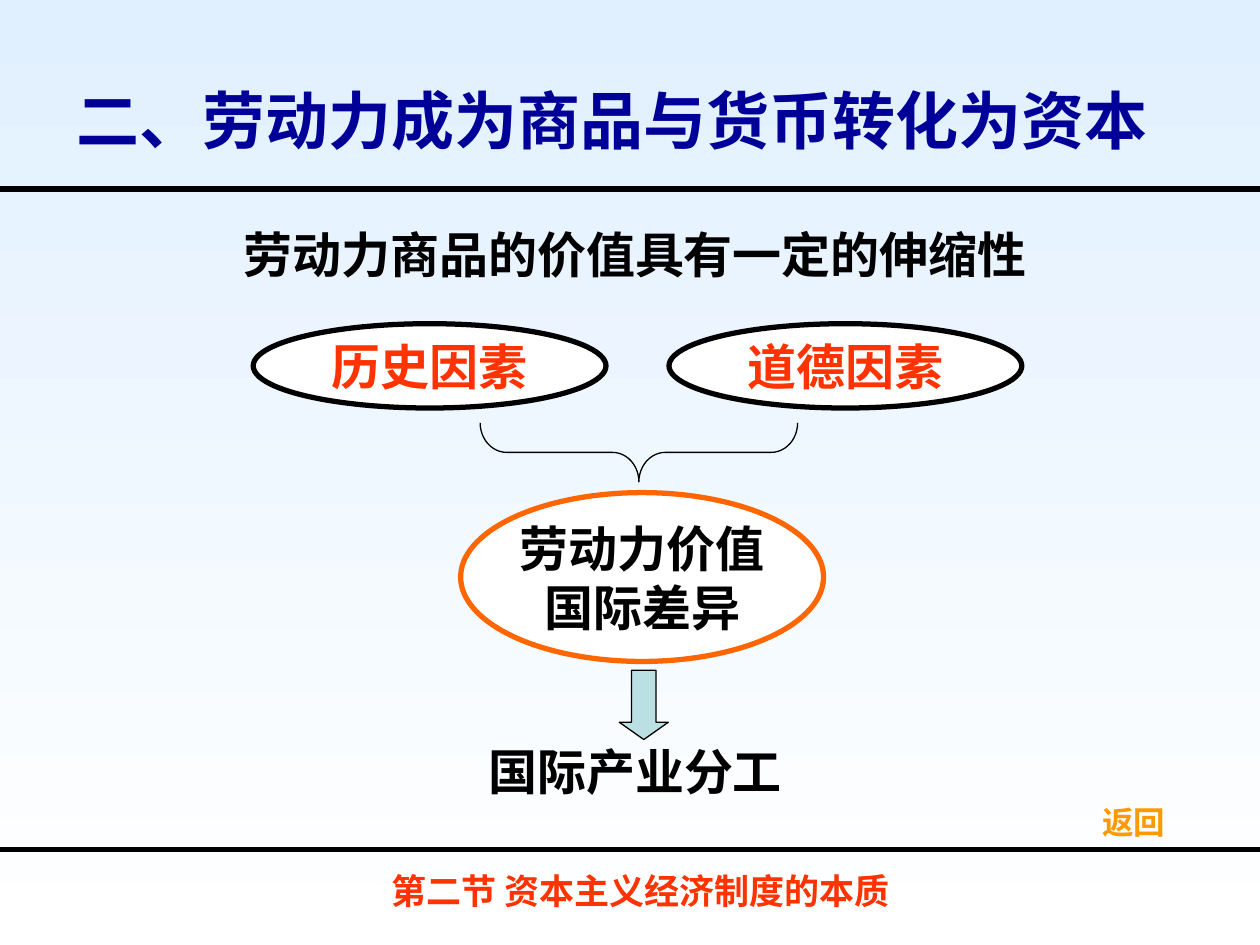
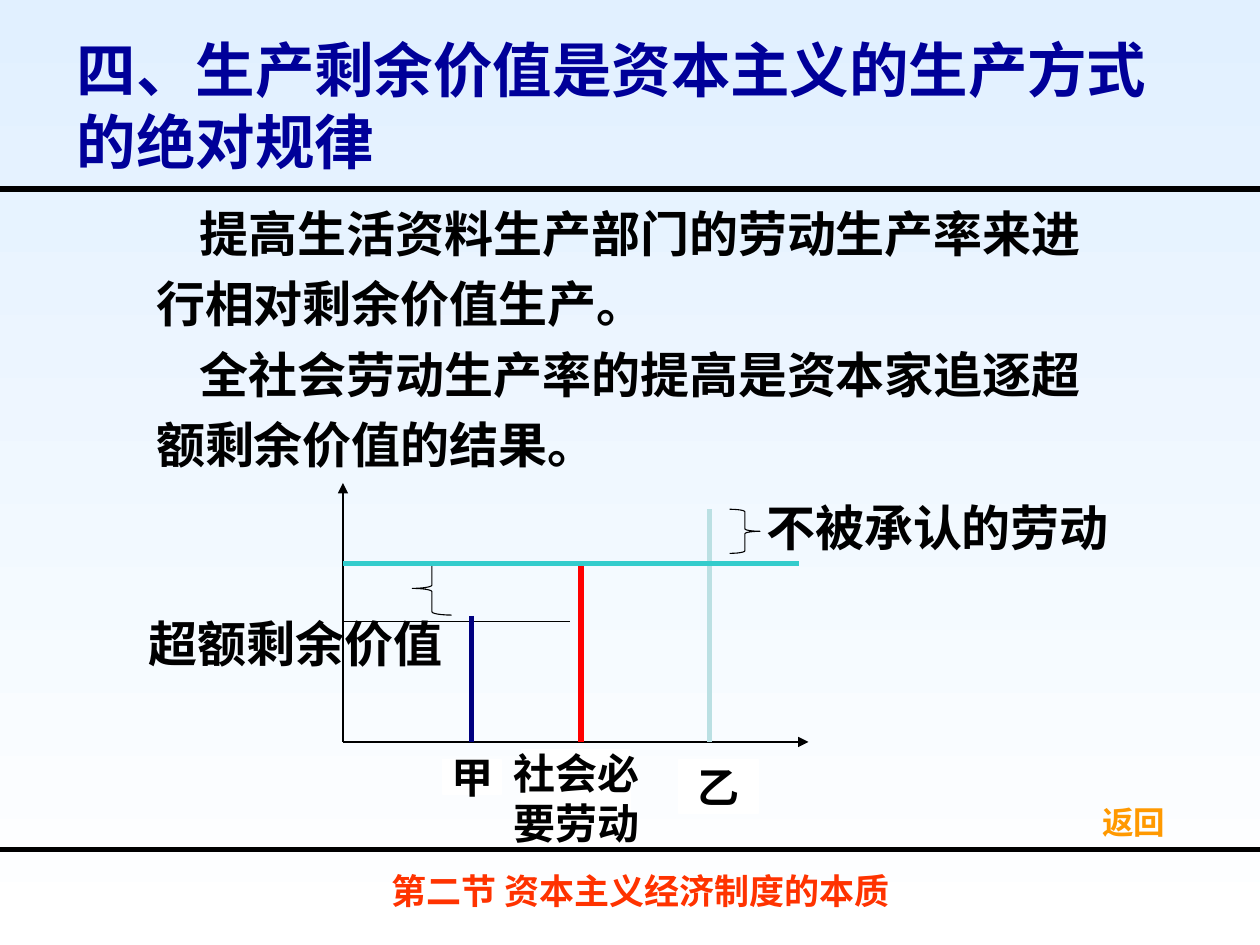
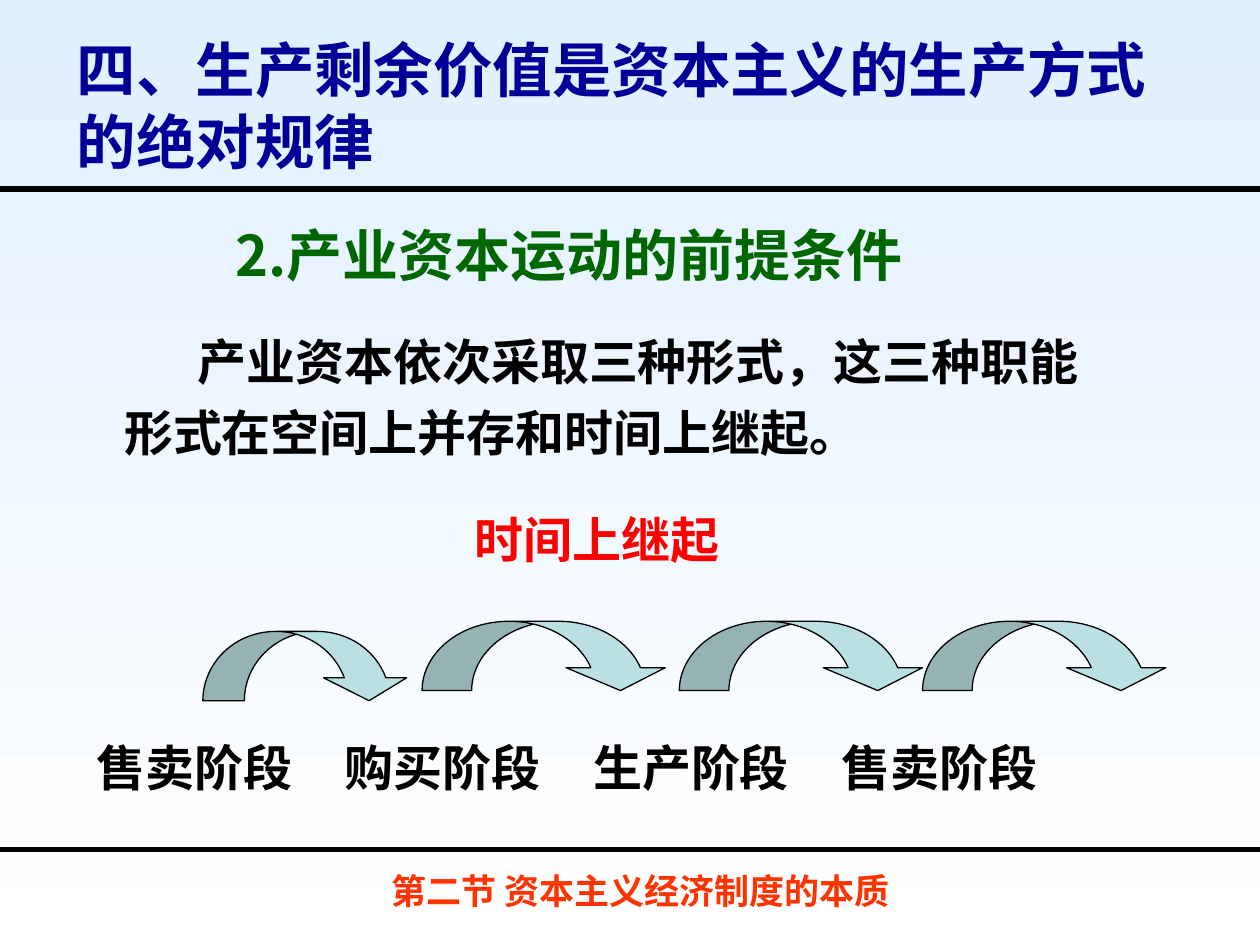
from copy import deepcopy

from lxml.etree import SubElement
from pptx import Presentation
from pptx.dml.color import RGBColor
from pptx.enum.shapes import MSO_CONNECTOR, MSO_SHAPE
from pptx.enum.text import MSO_ANCHOR, MSO_AUTO_SIZE, PP_ALIGN
from pptx.oxml.ns import qn
from pptx.util import Pt

BLACK = RGBColor(0x00, 0x00, 0x00)
WHITE = RGBColor(0xFF, 0xFF, 0xFF)
SKY = RGBColor(0xE1, 0xF0, 0xFF)
TITLE_BLUE = RGBColor(0x00, 0x00, 0x99)
NAVY = RGBColor(0x00, 0x00, 0x80)
VERMILION = RGBColor(0xFF, 0x33, 0x00)
ORANGE = RGBColor(0xFF, 0x66, 0x00)
AMBER = RGBColor(0xFF, 0x99, 0x00)
RED = RGBColor(0xFF, 0x00, 0x00)
GREEN = RGBColor(0x00, 0x66, 0x00)
PALE_TEAL = RGBColor(0xBB, 0xE0, 0xE3)
TEAL = RGBColor(0x33, 0xCC, 0xCC)

HAN_FONT = "Noto Sans CJK SC"
LATIN_FONT = "Arial"
WIDTH, HEIGHT = 720, 540
SURPLUS_TITLE = "四、生产剩余价值是资本主义的生产方式\v的绝对规律"


def write(frame, *lines, size=28, color=BLACK, font=HAN_FONT, align=PP_ALIGN.CENTER,
          anchor=MSO_ANCHOR.MIDDLE, wrap=False, spacing=1.0, left=0, indent=0):
    """Fill a text frame with one bold paragraph per line."""
    frame.word_wrap = wrap
    frame.auto_size = MSO_AUTO_SIZE.NONE
    frame.vertical_anchor = anchor
    for number, line in enumerate(lines):
        paragraph = frame.add_paragraph() if number else frame.paragraphs[0]
        paragraph.text = line
        paragraph.alignment = align
        paragraph.line_spacing = spacing
        paragraph.space_before = Pt(0)
        properties = paragraph._p.get_or_add_pPr()
        properties.set("marL", str(Pt(left)))
        properties.set("indent", str(Pt(indent)))
        SubElement(properties, qn("a:buNone"))
        for run in paragraph.runs:
            run.font.size = Pt(size)
            run.font.bold = True
            run.font.color.rgb = color
            run.font.name = font
            SubElement(run._r.rPr, qn("a:ea"), typeface=HAN_FONT)
        for line_break in paragraph._p.findall(qn("a:br")):
            line_break.append(deepcopy(paragraph.runs[0]._r.rPr))


def place(placeholder, box):
    """Move a placeholder to a box and return its text frame."""
    placeholder.left, placeholder.top, placeholder.width, placeholder.height = map(Pt, box)
    return placeholder.text_frame


def add_label(slide, box, *lines, **style):
    """Add a text box."""
    write(slide.shapes.add_textbox(*map(Pt, box)).text_frame, *lines, **style)


def add_figure(slide, kind, box, fill=None, line=BLACK, weight=0.75, adjust=()):
    """Add a flat preset shape, hollow when no fill is given."""
    figure = slide.shapes.add_shape(kind, *map(Pt, box))
    figure.shadow.inherit = False
    if fill is None:
        figure.fill.background()
    else:
        figure.fill.solid()
        figure.fill.fore_color.rgb = fill
    figure.line.color.rgb = line
    figure.line.width = Pt(weight)
    for index, value in enumerate(adjust):
        figure.adjustments[index] = value
    return figure


def add_rule(slide, start, end, color=BLACK, weight=3, arrow=False):
    """Draw a straight line, with an arrowhead at its end if asked."""
    rule = slide.shapes.add_connector(MSO_CONNECTOR.STRAIGHT, *map(Pt, start + end))
    rule.line.color.rgb = color
    rule.line.width = Pt(weight)
    if arrow:
        SubElement(rule.line._get_or_add_ln(), qn("a:tailEnd"), type="triangle")
    SubElement(rule._element.spPr, qn("a:effectLst"))


def add_framed_slide(deck, title, title_box, title_size, has_return=True):
    """Add a slide with its title, two rules, footer and return label."""
    slide = deck.slides.add_slide(deck.slide_layouts[1])
    write(place(slide.shapes.title, title_box), title, size=title_size,
          color=TITLE_BLUE, align=PP_ALIGN.LEFT, wrap=True)
    for y in (108, 485.3):
        add_rule(slide, (0, y), (WIDTH, y))
    add_label(slide, (156, 492, 420, 34), "第二节 资本主义经济制度的本质",
              size=20, color=VERMILION)
    if has_return:
        add_label(slide, (627, 451.5, 42, 36), "返回", size=18, color=AMBER,
                  font=LATIN_FONT)
    return slide


def draw_factors(slide, box):
    """Draw two factors that merge into a difference and lead to a division."""
    left, top, width, height = box
    factor_width = 201.6
    for x, factor in ((0, "历史因素"), (width - factor_width, "道德因素")):
        oval = add_figure(slide, MSO_SHAPE.OVAL, (left + x, top, factor_width, 48.2),
                          WHITE, weight=3)
        write(oval.text_frame, factor, color=VERMILION)
    difference = add_figure(slide, MSO_SHAPE.OVAL, (left + 118.5, top + 96.5, 207.4, 96.5),
                            WHITE, ORANGE, 3)
    write(difference.text_frame, "劳动力价值", "国际差异")
    merge = add_figure(slide, MSO_SHAPE.LEFT_BRACE,
                       (left + 203.5, top - 17.2, 33.8, 181.4), adjust=(0.447, 0.5))
    merge.rotation = 270
    add_figure(slide, MSO_SHAPE.DOWN_ARROW, (left + 209.2, top + 198, 28, 39.6),
               PALE_TEAL, adjust=(0.5, 0.352))
    add_label(slide, (left + 56.6, top + height - 45.4, 323.3, 45.4), "国际产业分工",
              font=LATIN_FONT)


def draw_labour_graph(slide, box):
    """Draw the labour times of two producers against the social norm."""
    left, top, width, height = box
    base = top + height
    thin = 0.62
    norm = base - 102

    add_figure(slide, MSO_SHAPE.LEFT_BRACE, (left + 39.6, norm - 1, 22.5, 30.5), weight=thin)
    add_rule(slide, (left, base - 69), (left + 130, base - 69), weight=thin)
    for axis_end in ((left, top), (left + width, base)):
        add_rule(slide, (left, base), axis_end, weight=thin, arrow=True)
    for x, amount, color in ((136, 102, RED), (73.5, 72, NAVY), (209.5, 133, PALE_TEAL)):
        add_rule(slide, (left + x, base - amount), (left + x, base), color)
    for x, y, w, h, lines in ((57, 10, 33.8, 20, ["甲"]),
                              (102, 4.4, 62.6, 54.7, ["社会必", "要劳动"]),
                              (192, 10, 45.4, 31, ["乙"])):
        name = add_figure(slide, MSO_SHAPE.RECTANGLE, (left + x, base + y, w, h),
                          WHITE, WHITE, thin)
        write(name.text_frame, *lines, size=24)
    add_rule(slide, (left + 260.5, norm), (left, norm), TEAL)
    add_label(slide, (left - 108, base - 72, 162, 31), "超额剩余价值")
    add_figure(slide, MSO_SHAPE.RIGHT_BRACE, (left + 221, base - 133, 17.3, 25.2), weight=thin)
    add_label(slide, (left + 249, base - 143.2, 181.4, 41), "不被承认的劳动")


def draw_stages(slide, box):
    """Draw a row of stages with curved arrows above it."""
    left, top, width, height = box
    arrow_height = 39.6
    for x, y, arrow_width in ((67.7, 5.8, 118.8), (193, 0, 141.8),
                              (340, 0, 141.8), (479, 0, 141.8)):
        ratio = arrow_width / arrow_height
        add_figure(slide, MSO_SHAPE.CURVED_DOWN_ARROW,
                   (left + x, top + y, arrow_width, arrow_height), PALE_TEAL,
                   adjust=(0.2 * ratio, 0.4 * ratio, 0.33))
    stages = ("售卖阶段", "购买阶段", "生产阶段", "售卖阶段")
    label_width, label_height = 126, 41
    step = (width - label_width) / (len(stages) - 1)
    for index, stage in enumerate(stages):
        add_label(slide, (left + index * step, top + height - label_height,
                          label_width, label_height),
                  stage, font=LATIN_FONT, align=PP_ALIGN.LEFT)


def build_value_slide(deck):
    """Build the slide on the elastic value of labour power."""
    slide = add_framed_slide(deck, "二、劳动力成为商品与货币转化为资本",
                             (36.7, 43.2, 635, 50.4), 36)
    write(place(slide.placeholders[1], (127.4, 122.4, 471, 45.4)),
          "劳动力商品的价值具有一定的伸缩性")
    draw_factors(slide, (144.7, 185, 439.2, 278))


def build_surplus_slide(deck):
    """Build the slide on relative and excess surplus value."""
    slide = add_framed_slide(deck, SURPLUS_TITLE, (36.7, 20.2, 669, 79.2), 34)
    write(place(slide.placeholders[1], (82, 105.8, 552, 167)),
          "提高生活资料生产部门的劳动生产率来进行相对剩余价值生产。",
          "全社会劳动生产率的提高是资本家追逐超额剩余价值的结果。",
          align=PP_ALIGN.LEFT, anchor=MSO_ANCHOR.TOP, wrap=True, spacing=1.2, indent=25)
    draw_labour_graph(slide, (196, 276, 266, 148))


def build_motion_slide(deck):
    """Build the slide on the conditions of industrial capital's motion."""
    slide = add_framed_slide(deck, SURPLUS_TITLE, (36.7, 20.2, 669, 79.2), 34,
                             has_return=False)
    add_label(slide, (127.4, 122.4, 465, 46), "2.产业资本运动的前提条件", size=32,
              color=GREEN, align=PP_ALIGN.LEFT, anchor=MSO_ANCHOR.TOP, wrap=True)
    write(place(slide.placeholders[1], (36.7, 179.3, 611, 90.7)),
          "产业资本依次采取三种形式，这三种职能形式在空间上并存和时间上继起。",
          font=LATIN_FONT, align=PP_ALIGN.LEFT, anchor=MSO_ANCHOR.TOP, wrap=True,
          spacing=1.2, left=27, indent=42)
    add_label(slide, (264.2, 287.3, 154, 41), "时间上继起", color=RED)
    draw_stages(slide, (48.2, 355, 551.5, 103.6))


def main():
    """Build and save the deck."""
    deck = Presentation()
    deck.slide_width, deck.slide_height = Pt(WIDTH), Pt(HEIGHT)
    backdrop = deck.slide_master.background.fill
    backdrop.gradient()
    backdrop.gradient_angle = 270
    for stop, color in zip(backdrop.gradient_stops, (SKY, WHITE)):
        stop.color.rgb = color
    build_value_slide(deck)
    build_surplus_slide(deck)
    build_motion_slide(deck)
    deck.save("out.pptx")


if __name__ == "__main__":
    main()
